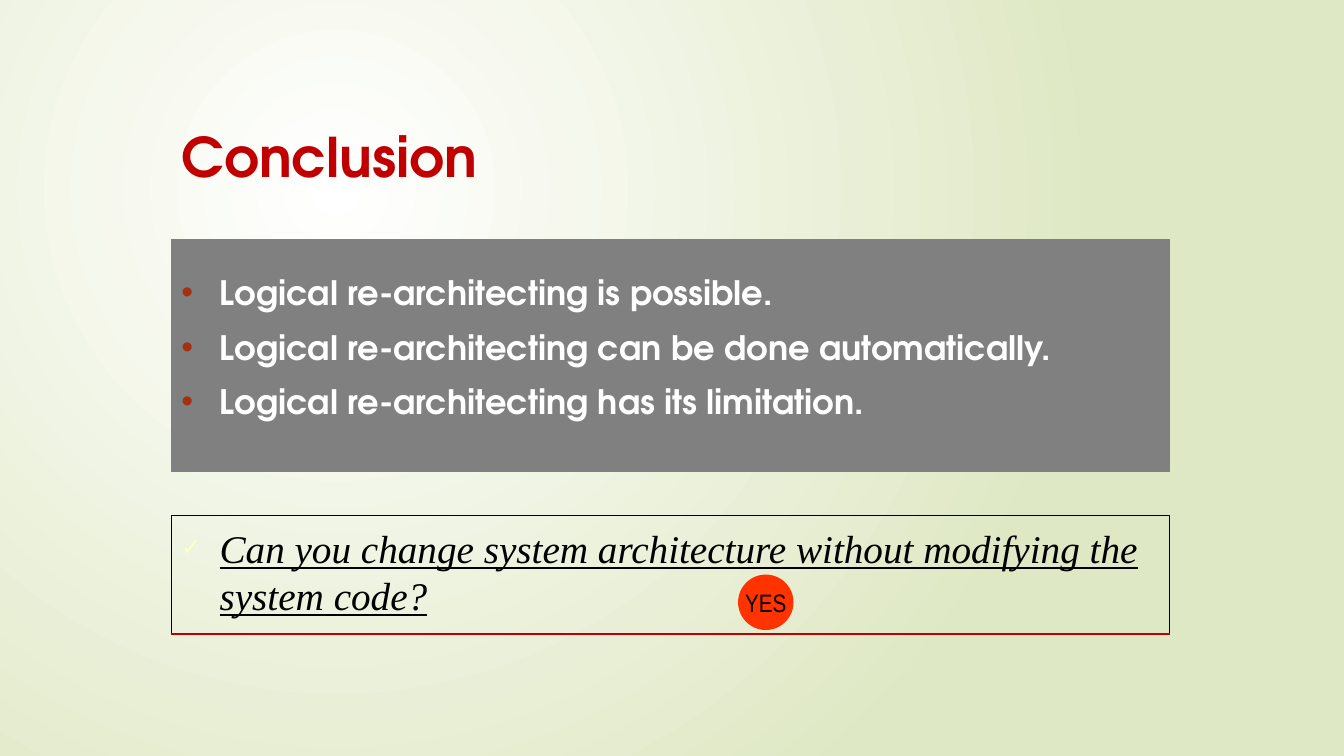
"""Build the conclusion slide with its findings and closing question."""
from dataclasses import dataclass

from lxml import etree
from pptx import Presentation
from pptx import util as u
from pptx.dml.color import RGBColor
from pptx.enum import shapes, text
from pptx.oxml import parse_xml
from pptx.oxml.ns import nsdecls, qn


@dataclass(frozen=True)
class Theme:
    accent: str = "C00000"
    panel: str = "808080"
    frame: str = "000000"
    badge: str = "FF3300"
    bullet: str = "A53010"
    check: str = "FFFFCC"
    glow: str = "FFFFFF"
    backdrop: str = "DFE8C4"
    title: tuple = ("TeX Gyre Adventor", 39, "C00000", {"bold": True})
    finding: tuple = ("TeX Gyre Adventor", 24, "FFFFFF", {"bold": True})
    question: tuple = ("Times New Roman", 28, "000000", {"bold": False, "italic": True, "underline": True})
    answer: tuple = ("Arial Narrow", 18, "000000", {"bold": False})


class SlideBuilder:
    def __init__(self, deck, theme):
        self.theme = theme
        self.slide = deck.slides.add_slide(deck.slide_layouts[1])

    def background(self):
        fill = self.slide.background.fill
        fill.gradient()
        for stop, color in zip(fill.gradient_stops, (self.theme.glow, self.theme.backdrop)):
            stop.color.rgb = RGBColor.from_string(color)
        gradient = self.slide.background._cSld.find(".//" + qn("a:gradFill"))
        gradient.remove(gradient.find(qn("a:lin")))
        gradient.find(qn("a:gsLst")).addnext(parse_xml(
            f'<a:path {nsdecls("a")} path="circle">'
            '<a:fillToRect l="50000" t="50000" r="100000" b="100000"/></a:path>'))

    def place(self, part, box):
        for side, length in zip(("left", "top", "width", "height"), box):
            setattr(part, side, u.Inches(length))

    def paint(self, part, fill=None, line=None):
        for target, color in ((part.fill, fill), (part.line.fill, line)):
            if color:
                target.solid()
                target.fore_color.rgb = RGBColor.from_string(color)
            else:
                target.background()
        if line:
            part.line.width = u.Pt(0.75)

    def fill_text(self, part, lines, style, bullet=None, frame=None, paragraph_format=None):
        face, size, color, emphasis = style
        body = part.text_frame
        body.text = "\n".join(lines)
        settings = {"word_wrap": True, "auto_size": text.MSO_AUTO_SIZE.NONE,
                    "vertical_anchor": text.MSO_ANCHOR.TOP, **(frame or {})}
        for name, value in settings.items():
            setattr(body, name, value)
        for index, paragraph in enumerate(body.paragraphs):
            layout = {"alignment": text.PP_ALIGN.LEFT,
                      "space_before": u.Pt(10 if index else 0), **(paragraph_format or {})}
            for name, value in layout.items():
                setattr(paragraph, name, value)
            if bullet:
                self.bullet(paragraph, *bullet)
            font_values = {"name": face, "size": u.Pt(size), **emphasis}
            for run in paragraph.runs:
                for name, value in font_values.items():
                    setattr(run.font, name, value)
                run.font.color.rgb = RGBColor.from_string(color)

    def bullet(self, paragraph, mark, color, percent):
        properties = paragraph._p.get_or_add_pPr()
        properties.set("marL", str(u.Inches(0.38)))
        properties.set("indent", str(-u.Inches(0.38)))
        tint = etree.SubElement(properties, qn("a:buClr"))
        etree.SubElement(tint, qn("a:srgbClr"), val=color)
        etree.SubElement(properties, qn("a:buSzPct"), val=str(percent * 1000))
        etree.SubElement(properties, qn("a:buFont"), typeface="Arial")
        etree.SubElement(properties, qn("a:buChar"), char=mark)

    def title(self, box, wording):
        heading = self.slide.shapes.title
        self.place(heading, box)
        self.fill_text(heading, [wording], self.theme.title)

    def findings(self, box, lines):
        panel = self.slide.placeholders[1]
        self.place(panel, box)
        self.paint(panel, self.theme.panel, self.theme.panel)
        self.fill_text(panel, lines, self.theme.finding, ("•", self.theme.bullet, 100),
                       {"margin_top": u.Inches(0.32)})

    def shape(self, kind, box, fill=None, line=None):
        part = self.slide.shapes.add_shape(kind, *map(u.Inches, box))
        part.shadow.inherit = False
        self.paint(part, fill, line)
        return part

    def question(self, box, wording):
        frame = self.shape(shapes.MSO_SHAPE.RECTANGLE, box, line=self.theme.frame)
        self.fill_text(frame, [wording], self.theme.question, ("✓", self.theme.check, 60),
                       {"margin_top": u.Inches(0.09)})

    def rule(self, left, top, width):
        underline = self.slide.shapes.add_connector(
            shapes.MSO_CONNECTOR.STRAIGHT, *map(u.Inches, (left, top, left + width, top)))
        underline.line.color.rgb = RGBColor.from_string(self.theme.accent)
        underline.line.width = u.Pt(1.5)
        etree.SubElement(underline._element.spPr, qn("a:effectLst"))

    def answer(self, box, wording):
        badge = self.shape(shapes.MSO_SHAPE.OVAL, box, fill=self.theme.badge)
        self.fill_text(badge, [wording], self.theme.answer,
                       frame={"word_wrap": False, "vertical_anchor": text.MSO_ANCHOR.MIDDLE},
                       paragraph_format={"alignment": text.PP_ALIGN.CENTER})


def main():
    deck = Presentation()
    deck.slide_width, deck.slide_height = u.Inches(13.33), u.Inches(7.5)
    left, width = 1.7, 9.9
    question_top, question_height = 5.11, 1.18
    builder = SlideBuilder(deck, Theme())
    builder.background()
    builder.title((left, 1.17, width, 1.4), "Conclusion")
    builder.findings((left, 2.38, width, 2.3), [
        "Logical re-architecting is possible.",
        "Logical re-architecting can be done automatically.",
        "Logical re-architecting has its limitation.",
    ])
    builder.question((left, question_top, width, question_height),
                     "Can you change system architecture without modifying the system code?")
    builder.rule(left, question_top + question_height, width)
    builder.answer((7.32, 5.7, 0.55, 0.55), "YES")
    deck.save("out.pptx")


if __name__ == "__main__":
    main()
